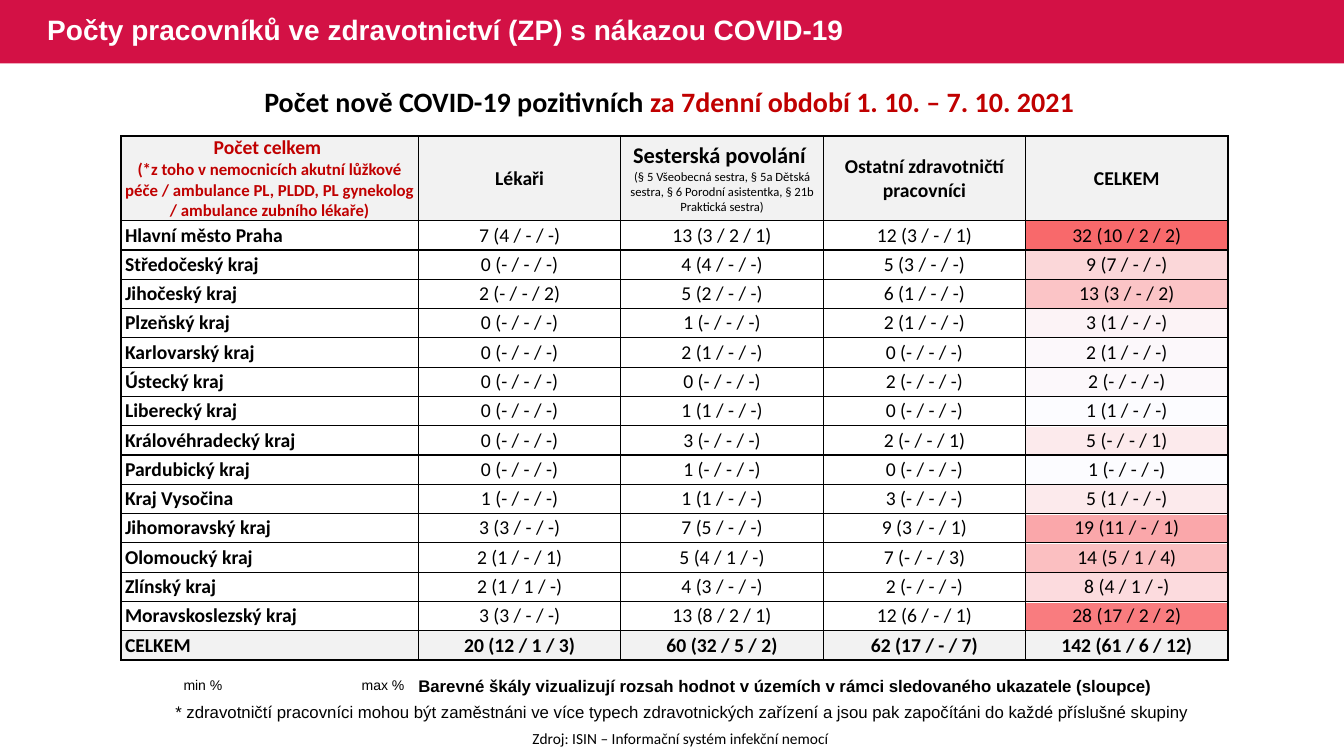
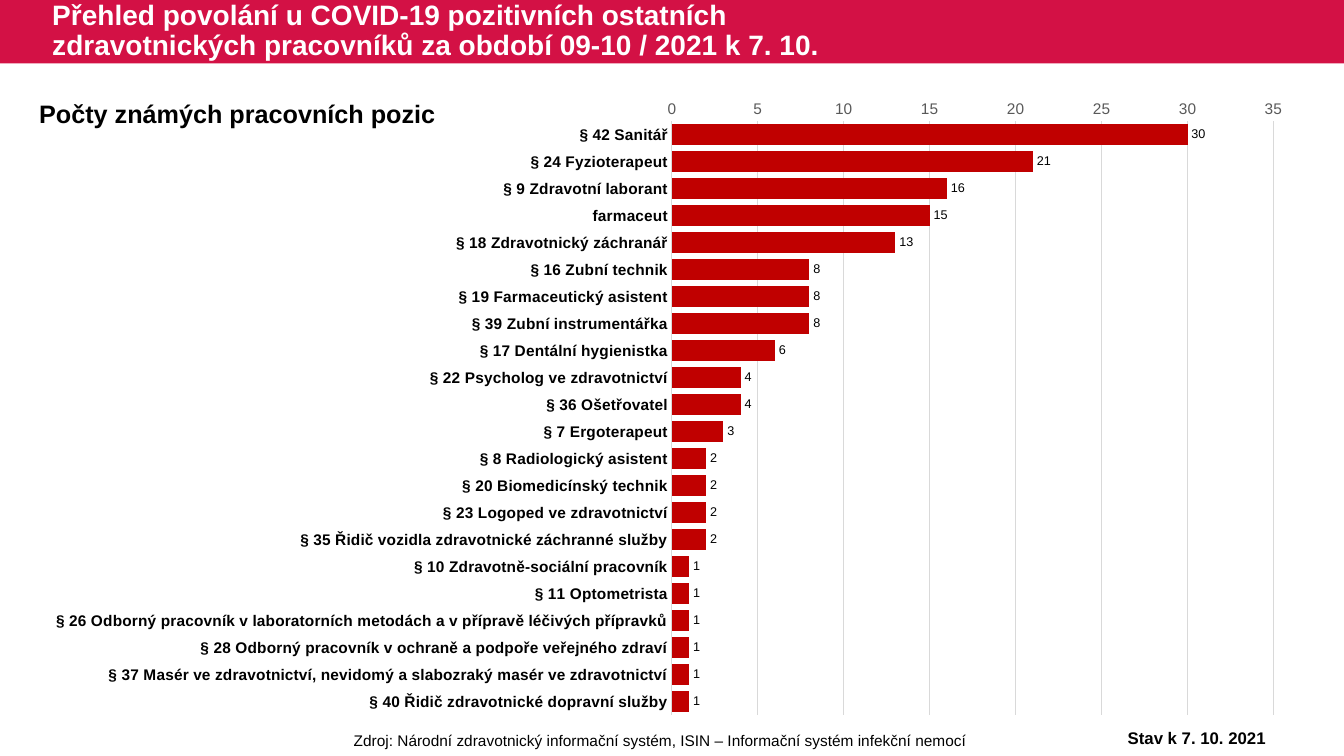
import math
from dataclasses import dataclass

import lxml.etree
import pptx
import pptx.chart.data
import pptx.dml.color
import pptx.enum.chart
import pptx.enum.shapes
import pptx.enum.text
import pptx.oxml.ns
import pptx.util

Inches = pptx.util.Inches
Pt = pptx.util.Pt
qn = pptx.oxml.ns.qn
add_element = lxml.etree.SubElement
ALIGN = pptx.enum.text.PP_ALIGN
MIDDLE = pptx.enum.text.MSO_ANCHOR.MIDDLE
FIT = pptx.enum.text.MSO_AUTO_SIZE


@dataclass(frozen=True)
class Theme:
    band: str = "D31145"
    accent: str = "C00000"
    ink: str = "000000"
    paper: str = "FFFFFF"
    header: str = "F2F2F2"
    grid: str = "D9D9D9"
    axis: str = "595959"
    scale_low: str = "FCFCFF"
    scale_high: str = "F8696B"
    sans: str = "Arial"
    narrow: str = "Calibri"
    title: int = 20
    subtitle: int = 18
    strong: int = 16
    body: int = 14
    note: int = 12
    source: int = 11
    legend: int = 10
    small: int = 9


@dataclass(frozen=True)
class Box:
    left: float
    top: float
    width: float
    height: float

    def inner(self, left, top, width, height):
        return Box(self.left + left, self.top + top, width, height)

    def lengths(self):
        return [Inches(v) for v in (self.left, self.top, self.width, self.height)]


THEME = Theme()
PAGE = Box(0, 0, 13.33, 7.5)
BAND_HEIGHT = 0.63
NO_MARGINS = dict.fromkeys(("margin_left", "margin_right", "margin_top", "margin_bottom"), 0)

HEADERS = [
    [("Počet celkem ", dict(color=THEME.accent)),
     ("(*z toho v nemocnicích akutní lůžkové péče / ambulance PL, PLDD, PL gynekolog "
      "/ ambulance zubního lékaře)", dict(color=THEME.accent, size=THEME.note))],
    [("Lékaři", {})],
    [("Sesterská povolání ", dict(size=THEME.strong)),
     ("(§ 5 Všeobecná sestra, § 5a Dětská sestra, § 6 Porodní asistentka, "
      "§ 21b Praktická sestra)", dict(size=THEME.small, bold=False))],
    [("Ostatní zdravotničtí pracovníci", {})],
    [("CELKEM", {})],
]
REGIONS = [
    ("Hlavní město Praha", "7 (4 / - / -)", "13 (3 / 2 / 1)", "12 (3 / - / 1)", "32 (10 / 2 / 2)"),
    ("Středočeský kraj", "0 (- / - / -)", "4 (4 / - / -)", "5 (3 / - / -)", "9 (7 / - / -)"),
    ("Jihočeský kraj", "2 (- / - / 2)", "5 (2 / - / -)", "6 (1 / - / -)", "13 (3 / - / 2)"),
    ("Plzeňský kraj", "0 (- / - / -)", "1 (- / - / -)", "2 (1 / - / -)", "3 (1 / - / -)"),
    ("Karlovarský kraj", "0 (- / - / -)", "2 (1 / - / -)", "0 (- / - / -)", "2 (1 / - / -)"),
    ("Ústecký kraj", "0 (- / - / -)", "0 (- / - / -)", "2 (- / - / -)", "2 (- / - / -)"),
    ("Liberecký kraj", "0 (- / - / -)", "1 (1 / - / -)", "0 (- / - / -)", "1 (1 / - / -)"),
    ("Královéhradecký kraj", "0 (- / - / -)", "3 (- / - / -)", "2 (- / - / 1)", "5 (- / - / 1)"),
    ("Pardubický kraj", "0 (- / - / -)", "1 (- / - / -)", "0 (- / - / -)", "1 (- / - / -)"),
    ("Kraj Vysočina", "1 (- / - / -)", "1 (1 / - / -)", "3 (- / - / -)", "5 (1 / - / -)"),
    ("Jihomoravský kraj", "3 (3 / - / -)", "7 (5 / - / -)", "9 (3 / - / 1)", "19 (11 / - / 1)"),
    ("Olomoucký kraj", "2 (1 / - / 1)", "5 (4 / 1 / -)", "7 (- / - / 3)", "14 (5 / 1 / 4)"),
    ("Zlínský kraj", "2 (1 / 1 / -)", "4 (3 / - / -)", "2 (- / - / -)", "8 (4 / 1 / -)"),
    ("Moravskoslezský kraj", "3 (3 / - / -)", "13 (8 / 2 / 1)", "12 (6 / - / 1)", "28 (17 / 2 / 2)"),
]
TOTALS = ("CELKEM", "20 (12 / 1 / 3)", "60 (32 / 5 / 2)", "62 (17 / - / 7)", "142 (61 / 6 / 12)")

POSITIONS = [
    ("§ 42 Sanitář", 30), ("§ 24 Fyzioterapeut", 21),
    ("§ 9 Zdravotní laborant", 16), ("farmaceut", 15),
    ("§ 18 Zdravotnický záchranář", 13), ("§ 16 Zubní technik", 8),
    ("§ 19 Farmaceutický asistent", 8), ("§ 39 Zubní instrumentářka", 8),
    ("§ 17 Dentální hygienistka", 6), ("§ 22 Psycholog ve zdravotnictví", 4),
    ("§ 36 Ošetřovatel", 4), ("§ 7 Ergoterapeut", 3),
    ("§ 8 Radiologický asistent", 2), ("§ 20 Biomedicínský technik", 2),
    ("§ 23 Logoped ve zdravotnictví", 2), ("§ 35 Řidič vozidla zdravotnické záchranné služby", 2),
    ("§ 10 Zdravotně-sociální pracovník", 1), ("§ 11 Optometrista", 1),
    ("§ 26 Odborný pracovník v laboratorních metodách a v přípravě léčivých přípravků", 1),
    ("§ 28 Odborný pracovník v ochraně a podpoře veřejného zdraví", 1),
    ("§ 37 Masér ve zdravotnictví, nevidomý a slabozraký masér ve zdravotnictví", 1),
    ("§ 40 Řidič zdravotnické dopravní služby", 1),
]


def rgb(value):
    return pptx.dml.color.RGBColor.from_string(value)


def assign(target, **values):
    for attribute, value in values.items():
        setattr(target, attribute, value)


def paint(fill, color):
    if color is None:
        fill.background()
    else:
        fill.solid()
        fill.fore_color.rgb = rgb(color)


def set_font(font, size, name=THEME.sans, color=THEME.ink, bold=False):
    assign(font, size=Pt(size), name=name, bold=bold)
    font.color.rgb = rgb(color)


def add_runs(paragraph, runs, align=ALIGN.LEFT, **font):
    """Write (text, font changes) pairs over the common font values."""
    paragraph.alignment = align
    for text, changes in runs:
        run = paragraph.add_run()
        run.text = text
        set_font(run.font, **{**font, **changes})


def add_text(slide, box, runs, align=ALIGN.LEFT, frame=None, **font):
    """Add a one-paragraph text box and return its paragraph."""
    text_frame = slide.shapes.add_textbox(*box.lengths()).text_frame
    assign(text_frame, **{"word_wrap": True, "auto_size": FIT.SHAPE_TO_FIT_TEXT, **(frame or {})})
    paragraph = text_frame.paragraphs[0]
    add_runs(paragraph, [(runs, {})] if isinstance(runs, str) else runs, align, **font)
    return paragraph


def add_titled_slide(deck, title, left, width):
    slide = deck.slides.add_slide(deck.slide_layouts[6])
    band_box = PAGE.inner(0, 0, PAGE.width, BAND_HEIGHT)
    band = slide.shapes.add_shape(pptx.enum.shapes.MSO_SHAPE.RECTANGLE, *band_box.lengths())
    band.shadow.inherit = False
    paint(band.fill, THEME.band)
    band.line.fill.background()
    heading = add_text(slide, band_box.inner(left, 0, width, BAND_HEIGHT), title,
                       frame=dict(auto_size=FIT.NONE, vertical_anchor=MIDDLE),
                       size=THEME.title, color=THEME.paper, bold=True)
    heading.line_spacing = 0.9
    return slide


def add_plain_table(slide, box, widths, heights):
    table = slide.shapes.add_table(len(heights), len(widths), *box.lengths()).table
    assign(table, first_row=False, horz_banding=False)
    for column, width in zip(table.columns, widths):
        column.width = Inches(width)
    for row, height in zip(table.rows, heights):
        row.height = Inches(height)
    return table


def scale_color(value, low, high):
    """Blend the two ends of the colour scale by the place of value in low..high."""
    ends = zip(bytes.fromhex(THEME.scale_low), bytes.fromhex(THEME.scale_high))
    return "".join(f"{math.ceil(a + (b - a) * (value - low) / (high - low)):02X}" for a, b in ends)


def add_color_scale(slide, box):
    """Colour one row per region by its sum; the row of totals stays clear."""
    sums = [int(region[-1].split()[0]) for region in REGIONS]
    colors = [scale_color(value, min(sums), max(sums)) for value in sums] + [None]
    table = add_plain_table(slide, box, [box.width], [box.height / len(colors)] * len(colors))
    for cell, color in zip(table.iter_cells(), colors):
        assign(cell, **NO_MARGINS)
        paint(cell.fill, color)
        add_element(cell.text_frame.paragraphs[0]._p, qn("a:endParaRPr"), sz=str(THEME.body * 100))


def fill_cell(cell, paragraphs, align, color, bold, margin):
    side = Inches(margin)
    assign(cell, **{**NO_MARGINS, "margin_left": side, "margin_right": side}, vertical_anchor=MIDDLE)
    for edge in ("lnL", "lnR", "lnT", "lnB"):
        line = add_element(cell._tc.get_or_add_tcPr(), qn(f"a:{edge}"), w=str(Pt(1)))
        add_element(add_element(line, qn("a:solidFill")), qn("a:srgbClr"), val=THEME.ink)
    paint(cell.fill, color)
    for index, run in enumerate(paragraphs):
        paragraph = cell.text_frame.add_paragraph() if index else cell.text_frame.paragraphs[0]
        add_runs(paragraph, [run], align, size=THEME.body, name=THEME.narrow, bold=bold)


def add_region_table(slide, box):
    header_height, name_width = 0.84, 2.95
    rows, counts = [*REGIONS, TOTALS], len(HEADERS) - 1
    table = add_plain_table(slide, box, [name_width] + [(box.width - name_width) / counts] * counts,
                            [header_height] + [(box.height - header_height) / len(rows)] * len(rows))
    for column, paragraphs in enumerate(HEADERS):
        fill_cell(table.cell(0, column), paragraphs, ALIGN.CENTER, THEME.header, True, 0.04)
    for row, texts in enumerate(rows, 1):
        is_total = row == len(rows)
        for column, text in enumerate(texts):
            is_name = column == 0
            fill_cell(table.cell(row, column), [(text, {})], ALIGN.LEFT if is_name else ALIGN.CENTER,
                      THEME.header if is_total else None, is_name or is_total,
                      0.04 if is_name else 0.01)


def add_scale_legend(slide, box):
    legend = add_text(slide, box, "min %\tmax %", frame=NO_MARGINS, size=THEME.legend)
    tabs = add_element(legend._p.get_or_add_pPr(), qn("a:tabLst"))
    add_element(tabs, qn("a:tab"), pos=str(Inches(box.width)), algn="r")


def add_position_chart(slide, box):
    kinds = pptx.enum.chart
    data = pptx.chart.data.CategoryChartData()
    data.categories = [name for name, _ in POSITIONS]
    data.add_series("Series 1", [count for _, count in POSITIONS])
    chart = slide.shapes.add_chart(kinds.XL_CHART_TYPE.BAR_CLUSTERED, *box.lengths(), data).chart
    assign(chart, has_legend=False, has_title=False)
    set_font(chart.font, THEME.legend)

    plot = chart.plots[0]
    assign(plot, gap_width=30, overlap=100, vary_by_categories=False)
    bars = plot.series[0]
    paint(bars.format.fill, THEME.accent)
    assign(bars.data_labels, show_value=True, position=kinds.XL_LABEL_POSITION.OUTSIDE_END)
    set_font(bars.data_labels.font, THEME.small)

    names, counts = chart.category_axis, chart.value_axis
    for axis in (names, counts):
        assign(axis, major_tick_mark=kinds.XL_TICK_MARK.NONE, minor_tick_mark=kinds.XL_TICK_MARK.NONE)
    assign(names, reverse_order=True, has_major_gridlines=False)
    assign(counts, minimum_scale=0, maximum_scale=35, major_unit=5, has_major_gridlines=True)
    set_font(names.tick_labels.font, THEME.source, bold=True)
    set_font(counts.tick_labels.font, THEME.source, color=THEME.axis)
    counts.format.line.fill.background()
    for line in (names.format.line, counts.major_gridlines.format.line):
        line.color.rgb = rgb(THEME.grid)
        line.width = Pt(0.75)
    place_plot(chart, x=0.51, y=0.06, w=0.46, h=0.92)


def place_plot(chart, **fractions):
    """Fix the inner plot area as fractions of the chart."""
    area = chart._chartSpace.find(f".//{qn('c:plotArea')}")
    for old in area.findall(qn("c:layout")):
        area.remove(old)
    layout = lxml.etree.Element(qn("c:layout"))
    area.insert(0, layout)
    manual = add_element(layout, qn("c:manualLayout"))
    for tag, value in dict(layoutTarget="inner", xMode="edge", yMode="edge", **fractions).items():
        add_element(manual, qn(f"c:{tag}"), val=str(value))


def add_regions_slide(deck, box):
    slide = add_titled_slide(deck, "Počty pracovníků ve zdravotnictví (ZP) s nákazou COVID-19", 0.37, 8.6)
    add_color_scale(slide, box.inner(10.17, 2.19, 2.01, 4.37))
    add_text(slide, box.inner(3.27, 7.18, 6.96, 0.29), "Zdroj: ISIN – Informační systém infekční nemocí",
             ALIGN.CENTER, size=THEME.source, name=THEME.narrow)
    add_region_table(slide, box.inner(1.2, 1.35, 10.98, 5.2))
    add_text(slide, box.inner(0.67, 0.79, 12, 0.44),
             [("Počet nově COVID-19 pozitivních ", {}),
              ("za 7denní období 1. 10. – 7. 10. 2021 ", dict(color=THEME.accent))],
             ALIGN.CENTER, size=THEME.title, name=THEME.narrow, bold=True)
    add_text(slide, box.inner(4.05, 6.65, 7.72, 0.3),
             "Barevné škály vizualizují rozsah hodnot v územích v rámci sledovaného ukazatele (sloupce)",
             size=THEME.note, bold=True)
    add_text(slide, box.inner(1.64, 6.91, 10.26, 0.3),
             "* zdravotničtí pracovníci mohou být zaměstnáni ve více typech zdravotnických zařízení "
             "a jsou pak započítáni do každé příslušné skupiny", size=THEME.note)
    add_scale_legend(slide, box.inner(1.82, 6.71, 2.19, 0.17))


def add_positions_slide(deck, box):
    slide = add_titled_slide(deck, "Přehled povolání u COVID-19 pozitivních ostatních zdravotnických "
                             "pracovníků za období 09-10 / 2021 k 7. 10.", 0.42, 8.26)
    add_position_chart(slide, box.inner(0.05, 0.82, 12.97, 6.4))
    add_text(slide, box.inner(2.36, 7.2, 8.38, 0.29),
             "Zdroj: Národní zdravotnický informační systém, ISIN – Informační systém infekční nemocí",
             ALIGN.CENTER, size=THEME.source)
    add_text(slide, box.inner(0.29, 0.93, 4.16, 0.4), "Počty známých pracovních pozic",
             frame=dict(word_wrap=False), size=THEME.subtitle, bold=True)
    add_text(slide, box.inner(10.77, 7.17, 2.2, 0.3), "Stav k 7. 10. 2021",
             ALIGN.CENTER, size=THEME.note, bold=True)


if __name__ == "__main__":
    deck = pptx.Presentation()
    assign(deck, slide_width=Inches(PAGE.width), slide_height=Inches(PAGE.height))
    add_regions_slide(deck, PAGE)
    add_positions_slide(deck, PAGE)
    deck.save("out.pptx")
